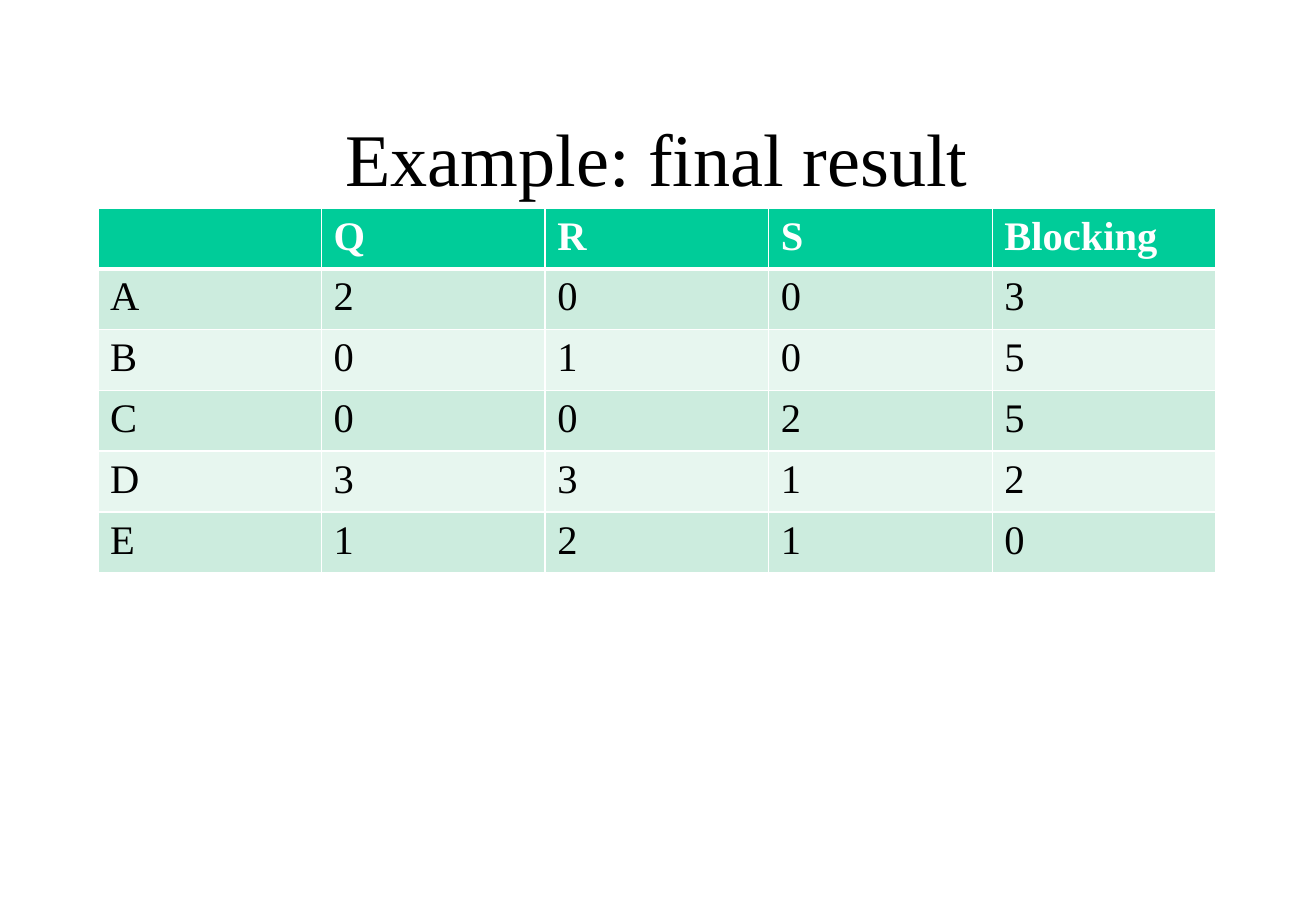
"""Build the slide showing the final result table of the example."""
from lxml import etree
from pptx import Presentation
from pptx import util as u
from pptx.dml.color import RGBColor
from pptx.enum import text
from pptx.oxml import ns

TITLE = "Example: final result"
ROWS = [
    ("", "Q", "R", "S", "Blocking"),
    ("A", "2", "0", "0", "3"),
    ("B", "0", "1", "0", "5"),
    ("C", "0", "0", "2", "5"),
    ("D", "3", "3", "1", "2"),
    ("E", "1", "2", "1", "0"),
]
FONT = "Times New Roman"
BLACK, WHITE = "000000", "FFFFFF"
HEADER_FILL = "00CC99"
BAND_FILLS = ("E7F6EF", "CCECDE")
PX = 914400 / 121.5
SLIDE_SIZE = (1316, 911)
TITLE_AREA = (98, 81, 1118, 152)
TABLE_LEFT, TABLE_TOP, TABLE_WIDTH, ROW_HEIGHT = 98, 208, 1118, 50


def px(*lengths):
    return [u.Emu(round(length * PX)) for length in lengths]


def color(hex_string):
    return RGBColor.from_string(hex_string)


def add_span(para, words, size, hex_string, bold=False):
    span = para.add_run()
    span.text = words
    span.font.name = FONT
    span.font.size = u.Pt(size)
    span.font.bold = bold
    span.font.color.rgb = color(hex_string)


def add_border(cell, side, points):
    properties = cell._tc.get_or_add_tcPr()
    line = etree.SubElement(properties, ns.qn(f"a:ln{side}"), w=str(u.Pt(points)))
    fill = etree.SubElement(line, ns.qn("a:solidFill"))
    etree.SubElement(fill, ns.qn("a:srgbClr"), val=WHITE)


def add_title(page):
    box = page.shapes.add_textbox(*px(*TITLE_AREA))
    frame = box.text_frame
    frame.word_wrap = True
    frame.vertical_anchor = text.MSO_ANCHOR.MIDDLE
    para = frame.paragraphs[0]
    para.alignment = text.PP_ALIGN.CENTER
    add_span(para, TITLE, 44, BLACK)


def add_result_table(page):
    area = px(TABLE_LEFT, TABLE_TOP, TABLE_WIDTH, ROW_HEIGHT * len(ROWS))
    table = page.shapes.add_table(len(ROWS), len(ROWS[0]), *area).table
    for r, row in enumerate(ROWS):
        header = r == 0
        widths = {"L": 1, "R": 1, "T": 3 if r == 1 else 1, "B": 3 if header else 1}
        for c, words in enumerate(row):
            cell = table.cell(r, c)
            for side, points in widths.items():
                add_border(cell, side, points)
            cell.fill.solid()
            cell.fill.fore_color.rgb = color(HEADER_FILL if header else BAND_FILLS[r % 2])
            para = cell.text_frame.paragraphs[0]
            para.font.size = u.Pt(24)
            if words:
                add_span(para, words, 24, WHITE if header else BLACK, header)


def main():
    deck = Presentation()
    deck.slide_width, deck.slide_height = px(*SLIDE_SIZE)
    page = deck.slides.add_slide(deck.slide_layouts[6])
    add_title(page)
    add_result_table(page)
    deck.save("out.pptx")


if __name__ == "__main__":
    main()
